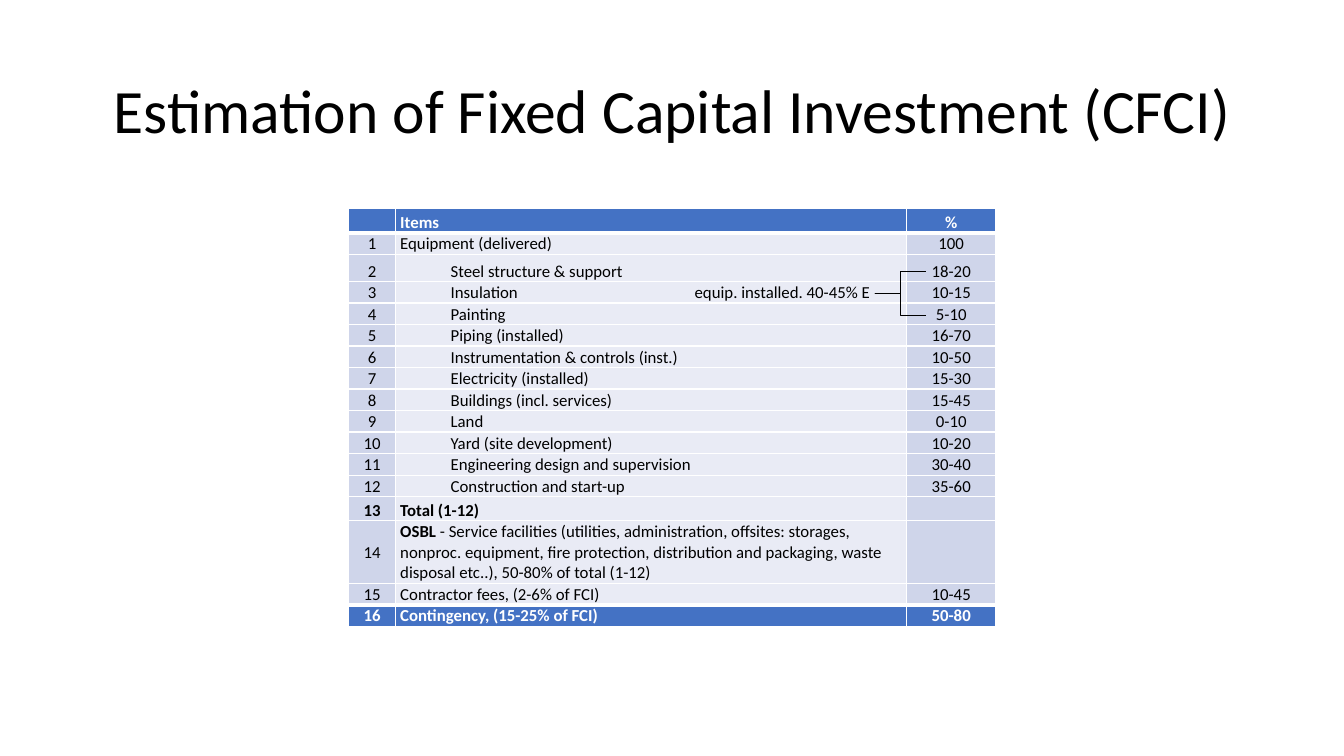
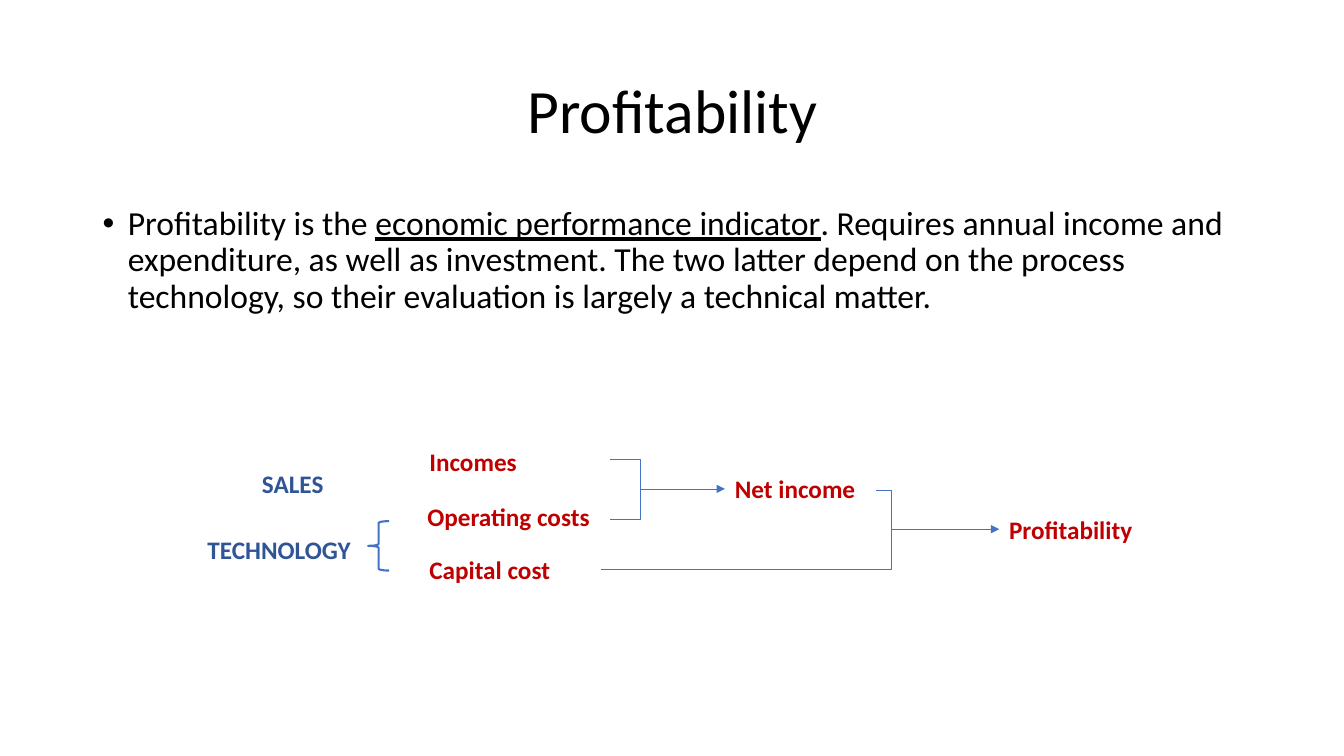
from lxml import etree
from pptx import Presentation
from pptx import util as u
from pptx.dml import color as c
from pptx.enum import shapes as s, text as t
from pptx.oxml import ns

SCALE = 9144
BLACK, WHITE, BLUE = "000000", "FFFFFF", "4472C4"
NAVY, RED = "2F5597", "C00000"
BAND_DARK, BAND_LIGHT = "CFD5EA", "E9EBF5"


def px(*lengths):
    """Turn whole pixels into EMU lengths."""
    return [u.Emu(length * SCALE) for length in lengths]


def rgb(value):
    """Turn a hex string into a colour."""
    return c.RGBColor.from_string(value)


def assign(target, values):
    """Set attributes from a dict of format values."""
    for name, value in values.items():
        setattr(target, name, value)


class Deck:
    """Hold the style and the current slide, and draw each kind of element."""

    font = "Calibri"
    title_box = (92, 40, 1150, 145)

    def __init__(self):
        """Start a wide presentation."""
        self.presentation = Presentation()
        size = px(1333, 750)
        assign(self.presentation, {"slide_width": size[0], "slide_height": size[1]})
        self.slide = None

    def add_runs(self, paragraph, runs, size, color, bold=False):
        """Fill a paragraph with a string or with (text, format) runs."""
        if isinstance(runs, str):
            runs = [(runs, {})]
        for words, extra in runs:
            run = paragraph.add_run()
            run.text = words
            assign(run.font, {"name": self.font, "size": u.Pt(size), "bold": bold, **extra})
            run.font.color.rgb = rgb(color)

    def add_slide(self, title):
        """Add a title-only slide and format its title."""
        self.slide = self.presentation.slides.add_slide(self.presentation.slide_layouts[5])
        shape = self.slide.shapes.title
        assign(shape, dict(zip(("left", "top", "width", "height"), px(*self.title_box))))
        assign(shape.text_frame, {"vertical_anchor": t.MSO_ANCHOR.MIDDLE, "word_wrap": True,
                                  "auto_size": t.MSO_AUTO_SIZE.NONE})
        paragraph = shape.text_frame.paragraphs[0]
        assign(paragraph, {"alignment": t.PP_ALIGN.CENTER, "line_spacing": 0.9})
        self.add_runs(paragraph, title, 44, BLACK)

    def text(self, box, runs, size=18, color=RED, bold=True, **frame_format):
        """Add a wrapped text box."""
        shape = self.slide.shapes.add_textbox(*px(*box))
        assign(shape.text_frame, {"word_wrap": True, **frame_format})
        self.add_runs(shape.text_frame.paragraphs[0], runs, size, color, bold)
        return shape

    def bullet(self, box, runs):
        """Add a text box with one bulleted paragraph."""
        paragraph = self.text(box, runs, 24, BLACK, False).text_frame.paragraphs[0]
        assign(paragraph, {"line_spacing": 0.9, "space_before": u.Pt(10)})
        properties = paragraph._p.get_or_add_pPr()
        indent = px(25)[0]
        properties.set("marL", str(indent))
        properties.set("indent", str(-indent))
        etree.SubElement(properties, ns.qn("a:buFont"), typeface="Arial")
        etree.SubElement(properties, ns.qn("a:buChar"), char="•")

    def brace(self, kind, box, color, width, square=True):
        """Add an unfilled brace, with square corners on request."""
        shape = self.slide.shapes.add_shape(kind, *px(*box))
        shape.shadow.inherit = False
        shape.fill.background()
        shape.line.color.rgb = rgb(color)
        shape.line.width = u.Pt(width)
        if square:
            shape.adjustments[0] = 0

    def line(self, start, end, target, side, arrow=True):
        """Add a straight connector that ends at a side of a box."""
        connector = self.slide.shapes.add_connector(s.MSO_CONNECTOR.STRAIGHT, *px(*start, *end))
        connector.end_connect(target, side)
        connector.line.color.rgb = rgb(BLUE)
        connector.line.width = u.Pt(0.5)
        properties = connector._element.spPr
        if arrow:
            etree.SubElement(properties.find(ns.qn("a:ln")), ns.qn("a:tailEnd"), type="triangle")
        etree.SubElement(properties, ns.qn("a:effectLst"))

    def cell(self, cell, runs, fill, color, bold, format_values, borders):
        """Fill and border one table cell and set its text."""
        properties = cell._tc.get_or_add_tcPr()
        for side in "LRTB":
            edge = etree.SubElement(properties, ns.qn(f"a:ln{side}"),
                                    w=str(int(u.Pt(borders.get(side, 1)))))
            solid = etree.SubElement(edge, ns.qn("a:solidFill"))
            etree.SubElement(solid, ns.qn("a:srgbClr"), val=WHITE)
        cell.fill.solid()
        cell.fill.fore_color.rgb = rgb(fill)
        margins = zip(("margin_left", "margin_top", "margin_right", "margin_bottom"), px(5, 1, 5, 0))
        assign(cell, {**dict(margins), "vertical_anchor": t.MSO_ANCHOR.BOTTOM, **format_values})
        paragraph = cell.text_frame.paragraphs[0]
        if runs:
            self.add_runs(paragraph, runs, 12, color, bold)
        else:
            etree.SubElement(paragraph._p, ns.qn("a:endParaRPr"), sz="1200")
        return paragraph

    def table(self, origin, widths, heights, rows, indented, bold_rows, middle_rows):
        """Add a table with a strong first and last row."""
        box = (*origin, sum(widths), sum(heights))
        table = self.slide.shapes.add_table(len(rows), len(widths), *px(*box)).table
        assign(table, {"first_row": False, "horz_banding": False})
        for column, width in zip(table.columns, px(*widths)):
            column.width = width
        last = len(rows) - 1
        edges = {0: {"B": 3}, 1: {"T": 3}, last - 1: {"B": 3}, last: {"T": 3}}
        for i, (row, height) in enumerate(zip(rows, px(*heights))):
            table.rows[i].height = height
            strong = i in (0, last)
            for j, runs in enumerate(row):
                fill = BLUE if strong else BAND_LIGHT if j == 1 else BAND_DARK
                anchor = {"vertical_anchor": t.MSO_ANCHOR.MIDDLE} if i in middle_rows else {}
                paragraph = self.cell(table.cell(i, j), runs, fill, WHITE if strong else BLACK,
                                      strong or i in bold_rows, anchor, edges.get(i, {}))
                if j != 1:
                    paragraph.alignment = t.PP_ALIGN.CENTER
                elif i in indented:
                    paragraph._p.get_or_add_pPr().set("marL", str(px(50)[0]))


def investment(deck):
    """Build the slide on fixed capital investment."""
    deck.add_slide("Estimation of Fixed Capital Investment (CFCI)")
    facilities = [
        ("OSBL ", {"bold": True}),
        ("- Service facilities (utilities, administration, offsites: storages, nonproc. equipment, "
         "fire protection, distribution and packaging, waste disposal etc..), "
         "50-80% of total (1-12)", {}),
    ]
    items = [
        ("Equipment (delivered)", "100"),
        ("Steel structure & support", "18-20"),
        ("Insulation", "10-15"),
        ("Painting", "5-10"),
        ("Piping (installed)", "16-70"),
        ("Instrumentation & controls (inst.)", "10-50"),
        ("Electricity (installed)", "15-30"),
        ("Buildings (incl. services)", "15-45"),
        ("Land", "0-10"),
        ("Yard (site development)", "10-20"),
        ("Engineering design and supervision", "30-40"),
        ("Construction and start-up", "35-60"),
        ("Total (1-12)", ""),
        (facilities, ""),
        ("Contractor fees, (2-6% of FCI)", "10-45"),
        ("Contingency, (15-25% of FCI)", "50-80"),
    ]
    rows = [("", "Items", "%")]
    rows += [(str(number), *item) for number, item in enumerate(items, 1)]
    tall = {0: 24, 2: 27, 13: 24, 14: 62}
    heights = [tall.get(i, 21) for i in range(len(rows))]
    deck.table((346, 207), (46, 507, 89), heights, rows, range(2, 13), {13}, {14})
    deck.text((689, 280, 180, 20), "equip. installed. 40-45% E", 12, BLACK, False,
              margin_left=0, margin_top=0, margin_right=0, margin_bottom=0)
    deck.brace(s.MSO_SHAPE.LEFT_BRACE, (868, 269, 50, 44), BLACK, 0.75)


def profitability(deck):
    """Build the slide on profitability."""
    deck.add_slide("Profitability")
    deck.bullet((92, 200, 1150, 164), [
        ("Profitability is the ", {}),
        ("economic performance indicator", {"underline": True}),
        (". Requires annual income and expenditure, as well as investment. The two latter depend "
         "on the process technology, so their evaluation is largely a technical matter.", {}),
    ])
    labels = [
        ("TECHNOLOGY", 196, 525, 206, NAVY),
        ("SALES", 250, 460, 106, NAVY),
        ("Incomes", 416, 438, 118, RED),
        ("Operating costs", 414, 492, 195, RED),
        ("Capital cost", 416, 545, 180, RED),
        ("Net income", 719, 465, 146, RED),
        ("Profitability", 991, 505, 146, RED),
    ]
    boxes = {words: deck.text((left, top, width, 40), words, color=color)
             for words, left, top, width, color in labels}
    deck.brace(s.MSO_SHAPE.LEFT_BRACE, (365, 517, 21, 49), BLUE, 1.5, square=False)
    for box in ((605, 456, 60, 59), (869, 486, 30, 79)):
        deck.brace(s.MSO_SHAPE.RIGHT_BRACE, box, BLUE, 0.5)
    deck.line((665, 485), (719, 485), boxes["Net income"], 1)
    deck.line((869, 565), (596, 565), boxes["Capital cost"], 3, arrow=False)
    deck.line((884, 525), (991, 525), boxes["Profitability"], 1)


def main():
    """Build and save the presentation."""
    deck = Deck()
    investment(deck)
    profitability(deck)
    deck.presentation.save("out.pptx")


if __name__ == "__main__":
    main()
